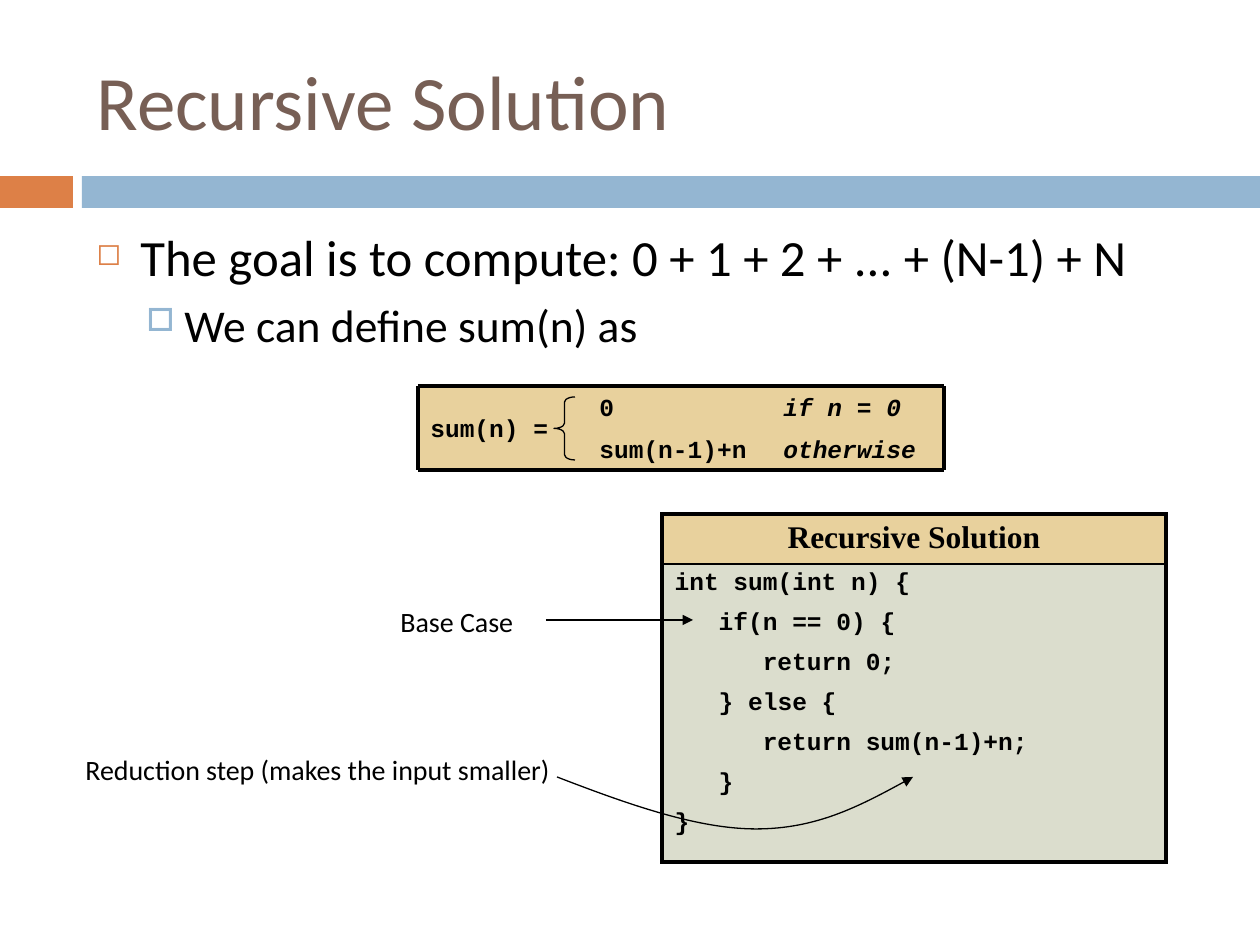
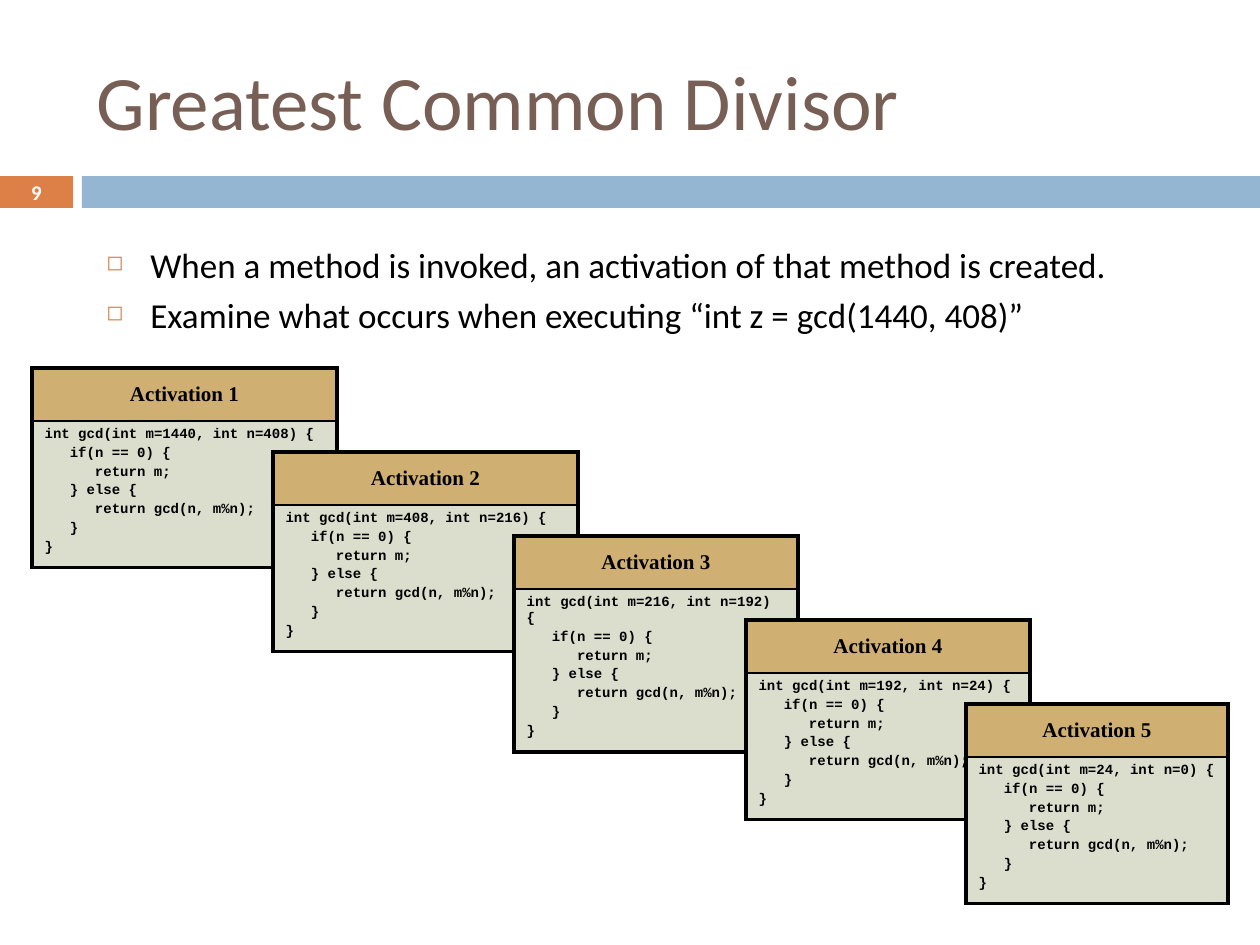
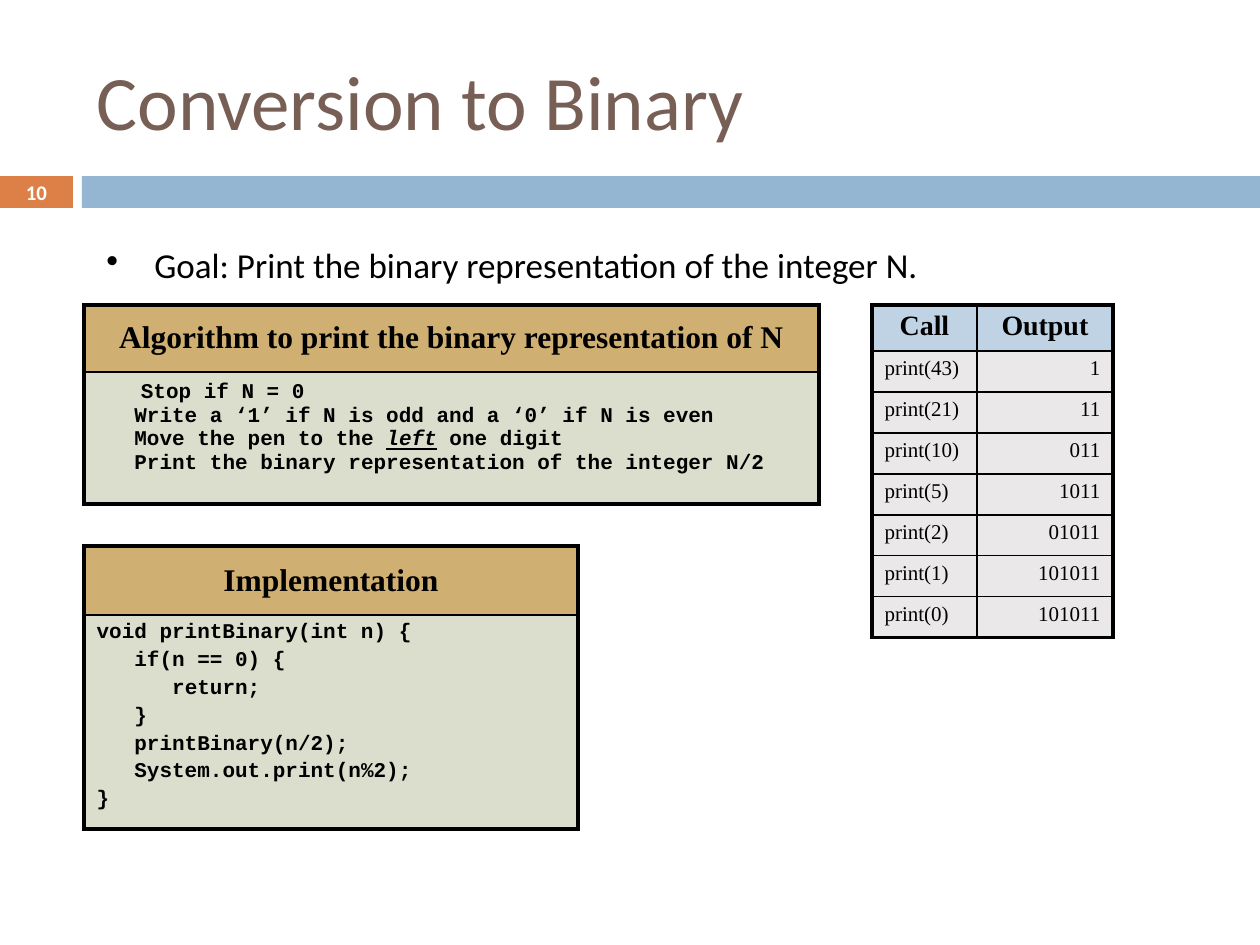
"""Builds three slides on recursion: sum, greatest divisor and binary print."""
from dataclasses import dataclass, replace
from typing import Any

from lxml import etree
from pptx import Presentation
from pptx.dml.color import RGBColor
from pptx.enum.shapes import MSO_CONNECTOR, MSO_SHAPE
from pptx.enum.text import MSO_ANCHOR, PP_ALIGN
from pptx.oxml.ns import qn
from pptx.util import Pt

RECT, BRACE = MSO_SHAPE.RECTANGLE, MSO_SHAPE.LEFT_BRACE
STRAIGHT = MSO_CONNECTOR.STRAIGHT
TOP, MIDDLE = MSO_ANCHOR.TOP, MSO_ANCHOR.MIDDLE
LEFT, CENTER, RIGHT = PP_ALIGN.LEFT, PP_ALIGN.CENTER, PP_ALIGN.RIGHT
SCALE = 914400 / 126
TITLE_ONLY = 5


@dataclass(frozen=True)
class Look:
    """Type style of a paragraph; lengths in points."""
    name: str
    size: float
    color: str = "000000"
    bold: bool = False
    italic: bool = False
    before: float = 0
    spacing: float = 1
    align: Any = LEFT


@dataclass(frozen=True)
class Theme:
    """Colours, widths and type styles that the slides share."""
    ink: str = "000000"
    orange: str = "DD8047"
    blue: str = "94B6D2"
    sand: str = "E8D19D"
    tan: str = "D0AF72"
    sage: str = "DBDDCD"
    sky: str = "BFD3E4"
    pale: str = "EAE8E8"
    thick: float = 2.25
    thin: float = 1
    fine: float = 0.75
    title: Look = Look("Calibri", 44, "775F55")
    page: Look = Look("Calibri", 11.9, "FFFFFF", bold=True, align=CENTER)
    goal: Look = Look("Calibri", 29, before=7)
    sub: Look = Look("Calibri", 26, before=5.5)
    point: Look = Look("Calibri", 20, before=7, spacing=0.9)
    note: Look = Look("Calibri", 16, before=8)
    code: Look = Look("Courier New", 14, bold=True, before=7)
    term: Look = Look("Courier New", 14, bold=True, before=2.8)
    head: Look = Look("Times New Roman", 18, bold=True, before=3.6, align=CENTER)
    entry: Look = Look("Times New Roman", 12, before=2.4)


THEME = Theme()


@dataclass(frozen=True)
class Mark:
    """A bullet sign with its colour and percent of the text size."""
    sign: str
    color: str = THEME.ink
    size: int = 100


@dataclass(frozen=True)
class Line:
    """A paragraph: its text or runs, its look, indents and bullet."""
    text: Any
    look: Look
    left: int = 0
    hang: int = 0
    mark: Any = None


@dataclass(frozen=True)
class Cell:
    """Content and fill of a table cell."""
    lines: list
    fill: str
    anchor: Any = TOP
    top: int = 6


BOX = Mark("\u25fb", THEME.orange, 60)
SQUARE = Mark("\u25a1", THEME.blue, 70)
DOT = Mark("\u2022")


def px(count):
    """Turn picture pixels into EMU."""
    return round(count * SCALE)


def area(*box):
    """Turn a pixel box into EMU."""
    return [px(side) for side in box]


def apply(target, values):
    """Set attributes from a dict."""
    for name, value in values.items():
        setattr(target, name, value)


def child(parent, tag, **values):
    """Append a drawing element with attributes."""
    return etree.SubElement(parent, qn(tag), values)


def tint(parent, color):
    """Append an RGB colour element."""
    child(parent, "a:srgbClr", val=color)


def write(frame, lines, anchor=TOP):
    """Fill a text frame with lines."""
    apply(frame, {"word_wrap": True, "vertical_anchor": anchor})
    for index, line in enumerate(lines):
        para = frame.add_paragraph() if index else frame.paragraphs[0]
        look = line.look
        apply(para, {"alignment": look.align, "space_before": Pt(look.before),
                     "line_spacing": look.spacing})
        props = para._p.get_or_add_pPr()
        props.set("marL", str(line.left))
        props.set("indent", str(line.hang))
        if line.mark:
            tint(child(props, "a:buClr"), line.mark.color)
            child(props, "a:buSzPct", val=str(line.mark.size * 1000))
            child(props, "a:buChar", char=line.mark.sign)
        runs = [(line.text, {})] if isinstance(line.text, str) else line.text
        for text, extra in runs:
            run = para.add_run()
            run.text = text
            apply(run.font, {"name": look.name, "size": Pt(look.size),
                             "bold": look.bold, "italic": look.italic, **extra})
            run.font.color.rgb = RGBColor.from_string(look.color)


def label(shapes, box, lines, anchor=TOP):
    """Add a text box."""
    write(shapes.add_textbox(*area(*box)).text_frame, lines, anchor)


def block(shapes, box, fill, kind=RECT, edge=None):
    """Add a filled preset shape, outlined if an edge width is given."""
    shape = shapes.add_shape(kind, *area(*box))
    shape.shadow.inherit = False
    shape.fill.solid()
    shape.fill.fore_color.rgb = RGBColor.from_string(fill)
    if edge:
        stroke(shape, edge)
    else:
        shape.line.fill.background()
    return shape


def stroke(shape, width, arrow=False):
    """Give a shape an ink line, with an arrowhead if asked."""
    shape.line.width = Pt(width)
    shape.line.color.rgb = RGBColor.from_string(THEME.ink)
    if arrow:
        child(shape.element.spPr.find(qn("a:ln")), "a:tailEnd", type="triangle")


def rule(shapes, ends, width, arrow=False):
    """Add a straight connector."""
    shape = shapes.add_connector(STRAIGHT, *area(*ends))
    stroke(shape, width, arrow)
    child(shape.element.spPr, "a:effectLst")


def curve(shapes, start, points, width):
    """Add an open arrow of cubic curves, three points to each."""
    pen = shapes.build_freeform(*start, scale=SCALE)
    pen.add_line_segments(points, close=False)
    shape = pen.convert_to_shape()
    shape.shadow.inherit = False
    shape.fill.background()
    steps = list(shape.element.iter(qn("a:lnTo")))
    for index in range(0, len(steps), 3):
        trio = steps[index:index + 3]
        bend = etree.Element(qn("a:cubicBezTo"))
        trio[0].addprevious(bend)
        for step in trio:
            bend.append(step[0])
            step.getparent().remove(step)
    stroke(shape, width, arrow=True)


def grid(slide, spot, widths, heights, rows):
    """Add a table with thick outer and thin inner borders."""
    box = area(*spot, sum(widths), sum(heights))
    table = slide.shapes.add_table(len(rows), len(widths), *box).table
    apply(table, {"first_row": False, "horz_banding": False})
    for column, width in zip(table.columns, widths):
        column.width = px(width)
    for row, height in zip(table.rows, heights):
        row.height = px(height)
    for r, row in enumerate(rows):
        for c, item in enumerate(row):
            cell = table.cell(r, c)
            outer = {"L": c == 0, "R": c == len(widths) - 1,
                     "T": r == 0, "B": r == len(rows) - 1}
            props = cell._tc.get_or_add_tcPr()
            for side, edge in outer.items():
                width = Pt(THEME.thick if edge else THEME.thin)
                line = child(props, "a:ln" + side, w=str(width))
                tint(child(line, "a:solidFill"), THEME.ink)
            cell.fill.solid()
            cell.fill.fore_color.rgb = RGBColor.from_string(item.fill)
            write(cell.text_frame, item.lines)
            apply(cell, {"vertical_anchor": item.anchor,
                         "margin_top": px(item.top)})


def code(pairs, size, before):
    """Make code lines from pairs of depth and text, three signs a depth."""
    look = replace(THEME.code, size=size, before=before)
    return [Line(text, look, left=Pt(depth * 1.8 * size))
            for depth, text in pairs]


def panel(slide, spot, width, heights, head, size, fill, lines,
          anchor=MIDDLE, top=6):
    """Add a code panel: a heading row over a code row."""
    look = replace(THEME.head, size=size, before=size / 5)
    grid(slide, spot, [width], heights,
         [[Cell([Line(head, look)], fill, anchor)],
          [Cell(lines, THEME.sage, top=top)]])


def bullet(text, look, mark=BOX, left=44, hang=44):
    """Make a line with a hanging bullet."""
    return Line(text, look, px(left), -px(hang), mark)


def start(deck, title, page=None):
    """Add a slide with its bands, title and page number."""
    slide = deck.slides.add_slide(deck.slide_layouts[TITLE_ONLY])
    block(slide.shapes, (0, 176, 73, 32), THEME.orange)
    block(slide.shapes, (82, 176, 1178, 32), THEME.blue)
    holder = slide.shapes.title
    apply(holder, dict(zip(("left", "top", "width", "height"),
                           area(84, 31, 1124, 137))))
    write(holder.text_frame, [Line(title, THEME.title)], MIDDLE)
    if page:
        label(slide.shapes, (0, 175, 73, 34), [Line(page, THEME.page)], MIDDLE)
    return slide


def define(slide):
    """Draw the two-case definition of sum(n)."""
    shapes = slide.shapes.add_group_shape().shapes
    left, mid, far, right = 418, 587, 771, 944
    top, half, base = 386, 428, 470
    slant = replace(THEME.term, italic=True)
    cells = [(far, half, right, base, "otherwise", slant, TOP),
             (far, top, right, half, "if n = 0", slant, TOP),
             (mid, half, far, base, "sum(n-1)+n", THEME.term, TOP),
             (mid, top, far, half, "0", THEME.term, TOP),
             (left, top, mid, base, "sum(n) =", THEME.term, MIDDLE)]
    for x, y, end, foot, text, look, anchor in cells:
        shape = block(shapes, (x, y, end - x, foot - y), THEME.sand)
        write(shape.text_frame, [Line(text, look)], anchor)
    for ends in ((left, top, left, base), (right, base, right, top),
                 (left, base, right, base), (left, top, right, top)):
        rule(shapes, ends, THEME.thick)
    brace = block(shapes, (554, 397, 21, 63), THEME.sand, BRACE, THEME.fine)
    brace.adjustments[0] = 0.25


def sums(deck):
    """Build the slide on the recursive sum."""
    slide = start(deck, "Recursive Solution")
    label(slide.shapes, (84, 220, 1124, 620), [
        bullet("The goal is to compute: 0 + 1 + 2 + ... + (N-1) + N", THEME.goal),
        bullet("We can define sum(n) as", THEME.sub, SQUARE, 88, 38)])
    define(slide)
    lines = [(0, "int sum(int n) {"), (1, "if(n == 0) {"), (2, "return 0;"),
             (1, "} else {"), (2, "return sum(n-1)+n;"), (1, "}"), (0, "}")]
    panel(slide, (662, 514), 504, (48, 298), "Recursive Solution", 18,
          THEME.sand, code(lines, 14, 7), TOP)
    shapes = slide.shapes.add_group_shape().shapes
    label(shapes, (388, 598, 147, 47), [Line("Base Case", THEME.note)])
    rule(shapes, (546, 620, 693, 620), THEME.fine, arrow=True)
    shapes = slide.shapes.add_group_shape().shapes
    curve(shapes, (557, 777), [(627, 804), (697, 829), (756, 829),
                               (816, 829), (864, 804), (913, 777)], THEME.fine)
    label(shapes, (73, 746, 514, 47),
          [Line("Reduction step (makes the input smaller)", THEME.note)])


def divide(deck):
    """Build the slide on the activations of gcd."""
    slide = start(deck, "Greatest Common Divisor", "9")
    label(slide.shapes, (94, 242, 1071, 168), [
        bullet(text, THEME.point) for text in (
            "When a method is invoked, an activation of that method is created.",
            "Examine what occurs when executing \u201cint z = gcd(1440, 408)\u201d")])
    calls = [(32, 305, 1440, 408), (273, 305, 408, 216), (514, 284, 216, 192),
             (746, 284, 192, 24), (966, 262, 24, 0)]
    for index, (x, width, m, n) in enumerate(calls):
        lines = [(0, f"int gcd(int m={m}, int n={n}) {{"), (1, "if(n == 0) {"),
                 (2, "return m;"), (1, "} else {"),
                 (2, "return gcd(n, m%n);"), (1, "}"), (0, "}")]
        panel(slide, (x, 368 + 84 * index), width, (53, 145),
              f"Activation {index + 1}", 12, THEME.tan, code(lines, 8, 1.6))


def binary(deck):
    """Build the slide on printing in binary."""
    slide = start(deck, "Conversion to Binary", "10")
    goal = replace(THEME.point, before=4)
    label(slide.shapes, (94, 242, 1071, 53), [
        bullet("Goal: Print the binary representation of the integer N.",
               goal, DOT, 48, 48)])
    lines = [(0, "void printBinary(int n) {"), (1, "if(n == 0) {"),
             (2, "return;"), (1, "}"), (1, "printBinary(n/2);"),
             (1, "System.out.print(n%2);"), (0, "}")]
    panel(slide, (84, 546), 494, (69, 204), "Implementation", 18,
          THEME.tan, code(lines, 12, 2.4))
    steps = [(1.17, "Stop if N = 0"),
             (1, "Write a \u20181\u2019 if N is odd and a \u20180\u2019 if N is even"),
             (1, [("Move the pen to the ", {}),
                  ("left", {"italic": True, "underline": True}),
                  (" one digit", {})]),
             (1, "Print the binary representation of the integer N/2")]
    panel(slide, (84, 305), 735, (67, 132),
          "Algorithm to print the binary representation of N", 18,
          THEME.tan, code(steps, 12, 0), top=9)
    head = replace(THEME.head, size=16, before=3.2)
    digits = replace(THEME.entry, align=RIGHT)
    calls = [(43, "1"), (21, "11"), (10, "011"), (5, "1011"), (2, "01011"),
             (1, "101011"), (0, "101011")]
    rows = [[Cell([Line(text, head)], THEME.sky) for text in ("Call", "Output")]]
    rows += [[Cell([Line(f"print({n})", THEME.entry)], THEME.pale),
              Cell([Line(out, digits)], THEME.pale)] for n, out in calls]
    grid(slide, (872, 305), (105, 136), [43] + [41] * len(calls), rows)


def main():
    """Build and save the deck."""
    deck = Presentation()
    apply(deck, {"slide_width": px(1260), "slide_height": px(945)})
    for build in (sums, divide, binary):
        build(deck)
    deck.save("out.pptx")


main()
